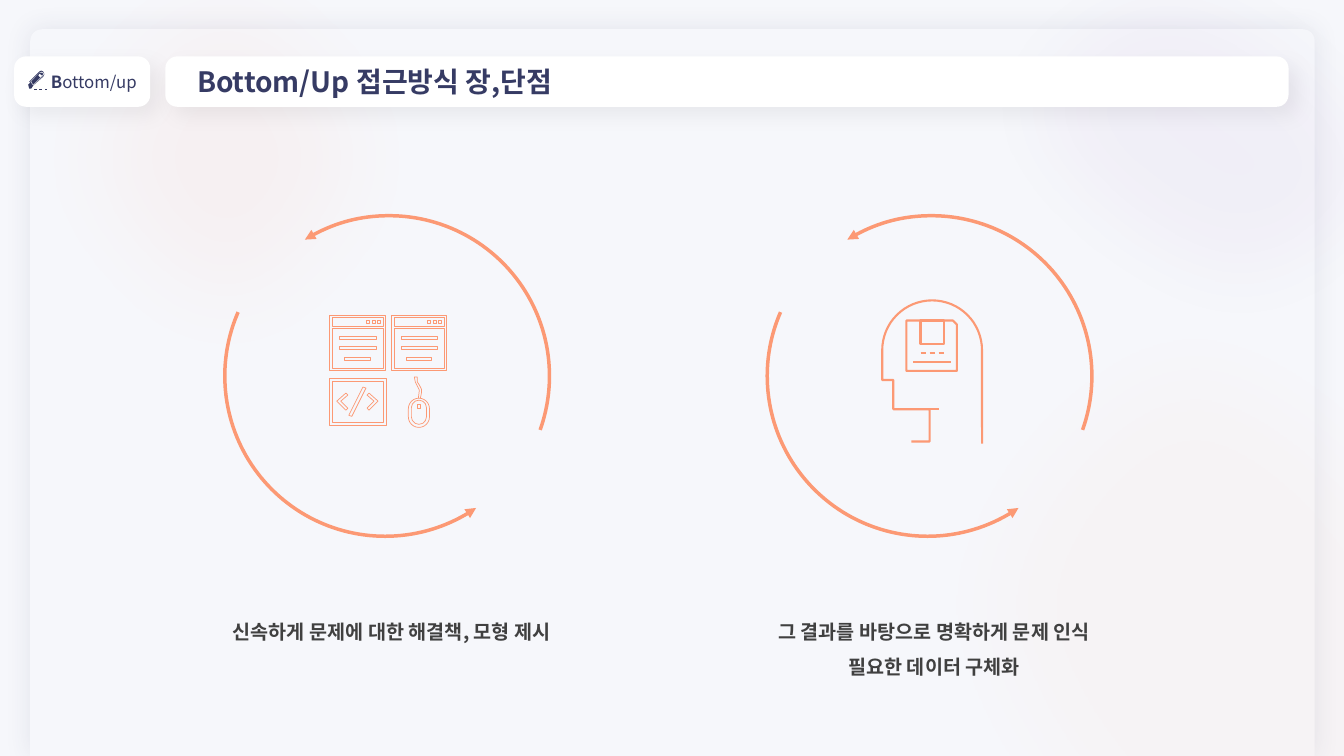
"""Build the slide on the strengths and weaknesses of the Bottom/Up approach."""
from math import cos, pi, sin

from lxml import etree
from pptx import Presentation
from pptx.dml.color import RGBColor
from pptx.enum.shapes import MSO_CONNECTOR, MSO_SHAPE
from pptx.enum.text import MSO_ANCHOR, MSO_AUTO_SIZE, PP_ALIGN
from pptx.oxml.ns import qn
from pptx.util import Inches, Pt

ARC, OVAL, RECTANGLE = MSO_SHAPE.ARC, MSO_SHAPE.OVAL, MSO_SHAPE.RECTANGLE
ROUNDED, PANEL = MSO_SHAPE.ROUNDED_RECTANGLE, MSO_SHAPE.ROUND_2_SAME_RECTANGLE
STRAIGHT = MSO_CONNECTOR.STRAIGHT
LEFT, CENTER, RIGHT = PP_ALIGN.LEFT, PP_ALIGN.CENTER, PP_ALIGN.RIGHT
MIDDLE, GROW = MSO_ANCHOR.MIDDLE, MSO_AUTO_SIZE.SHAPE_TO_FIT_TEXT

THEME = {
    "background": "F6F7FB", "card": "FFFFFF", "navy": "363B64", "black": "000000",
    "orange": "FC9974", "blush": "FD9374", "violet": "7030A0", "body": "404040",
    "font": "Noto Sans CJK KR",
    "badge": Pt(12), "title": Pt(20), "caption": Pt(14),
}

deck = Presentation()
deck.slide_width, deck.slide_height = Inches(13.33), Inches(7.5)
page = deck.slides.add_slide(deck.slide_layouts[6])
page.background.fill.solid()
page.background.fill.fore_color.rgb = RGBColor.from_string(THEME["background"])
shapes = page.shapes


def paint(shape, fill=None, line=None, width=1, alpha=None):
    """Set fill, line and transparency, and return the shape."""
    shape.shadow.inherit = False
    for part, colour in ((shape.fill, fill), (shape.line.fill, line)):
        if colour:
            part.solid()
            part.fore_color.rgb = RGBColor.from_string(THEME[colour])
        else:
            part.background()
    if line:
        shape.line.width = Pt(width)
    if alpha:
        colour = shape.element.spPr.find(qn("a:solidFill"))[0]
        etree.SubElement(colour, qn("a:alpha"), val=str(alpha * 1000))
    return shape


def outline(contours, closed=True):
    """Return a freeform made of contours given in inches."""
    contours = [[(Inches(x), Inches(y)) for x, y in points] for points in contours]
    builder = shapes.build_freeform(*contours[0][0])
    for index, points in enumerate(contours):
        if index:
            builder.move_to(*points[0])
        builder.add_line_segments(points[1:], close=closed)
    return builder.convert_to_shape()


panel = shapes.add_shape(PANEL, Inches(0.3), Inches(0.29), Inches(12.74), Inches(7.21))
panel.adjustments[0] = 0.016
paint(panel, "background")

for left, top, width, height, angle, colour, alpha in (
    (0, -0.9, 4.5, 4.91, 0, "blush", 7),
    (9.7, -1.43, 4.5, 5.63, 291.5, "violet", 4),
    (9.01, 2.69, 6.26, 7.27, 339.8, "orange", 4),
):
    glow = shapes.add_shape(OVAL, *map(Inches, (left, top, width, height)))
    glow.rotation = angle
    paint(glow, colour, alpha=alpha)
    effects = glow.element.spPr.find(qn("a:effectLst"))
    etree.SubElement(effects, qn("a:softEdge"), rad=str(Pt(63)))

badge, title = [
    shapes.add_shape(ROUNDED, Inches(left), Inches(0.56), Inches(width), Inches(0.5))
    for left, width in ((0.14, 1.35), (1.64, 11.14))
]
for card in (badge, title):
    card.adjustments[0] = 0.237
    paint(card, "card")
    card.text_frame.vertical_anchor = MIDDLE
title.text_frame.margin_left = Inches(0.28)

for shape, colour, alpha, blur, distance, angle in (
    (panel, "navy", 10, 18, 0, 0),
    (badge, "black", 5, 15, 8, 45),
    (title, "black", 5, 15, 8, 45),
):
    effects = shape.element.spPr.find(qn("a:effectLst"))
    shadow = etree.SubElement(
        effects, qn("a:outerShdw"), blurRad=str(Pt(blur)), dist=str(Pt(distance)),
        dir=str(angle * 60000), algn="ctr", rotWithShape="0")
    tint = etree.SubElement(shadow, qn("a:srgbClr"), val=THEME[colour])
    etree.SubElement(tint, qn("a:alpha"), val=str(alpha * 1000))

pencil_rim = [
    [(0.29, 0.88), (0.31, 0.88), (0.33, 0.85), (0.43, 0.76), (0.44, 0.74), (0.43, 0.71),
     (0.41, 0.7), (0.39, 0.71), (0.29, 0.81), (0.3, 0.82), (0.28, 0.84)],
    [(0.39, 0.72), (0.41, 0.71), (0.43, 0.72), (0.44, 0.73), (0.43, 0.75), (0.33, 0.85),
     (0.3, 0.81)],
]
pencil_core = [
    [(0.33, 0.84), (0.42, 0.75), (0.43, 0.73), (0.41, 0.72), (0.39, 0.72), (0.31, 0.81)],
    [(0.39, 0.73), (0.42, 0.75), (0.4, 0.77), (0.38, 0.75)],
]
pencil = [paint(outline(contours), "navy") for contours in (pencil_rim, pencil_core)]
for start, end in ((0.34, 0.37), (0.39, 0.42), (0.45, 0.47)):
    dash = shapes.add_connector(
        STRAIGHT, Inches(start), Inches(0.88), Inches(end), Inches(0.88))
    dash.line.color.rgb = RGBColor.from_string(THEME["navy"])
    dash.line.width = Pt(0.25)
    etree.SubElement(dash.element.spPr, qn("a:effectLst"))
    pencil.append(dash)
shapes.add_group_shape(pencil)

captions = []
for shift, height in ((0, 0.41), (5.38, 0.76)):
    for left, start, end in ((2.27, 142.974, 11.803), (2.23, 33.26, 122.09)):
        arc = shapes.add_shape(
            ARC, Inches(left + shift), Inches(2.14), Inches(3.18), Inches(3.18))
        arc.adjustments[0], arc.adjustments[1] = start, end
        paint(arc, line="orange", width=2.5)
        etree.SubElement(arc.line._get_or_add_ln(), qn("a:headEnd"), type="triangle")
    caption = shapes.add_textbox(
        Inches(2.01 + shift), Inches(5.98), Inches(3.75), Inches(height))
    caption.text_frame.word_wrap = True
    caption.text_frame.auto_size = GROW
    captions.append(caption)

frames = [(3.27, 3.75, 0.56, 0.47), (3.3, 3.78, 0.5, 0.41), (4.14, 4.01, 0.03, 0.04)]
for left in (3.27, 3.88):
    frames += [(left, 3.13, 0.55, 0.54), (left + 0.03, 3.15, 0.5, 0.09),
               (left + 0.03, 3.26, 0.5, 0.39), (left + 0.15, 3.55, 0.25, 0.03)]
    frames += [(left + 0.1, top, 0.36, 0.03) for top in (3.34, 3.44)]
    frames += [(left + step, 3.18, 0.03, 0.03) for step in (0.36, 0.42, 0.47)]
computer = [shapes.add_shape(RECTANGLE, *map(Inches, frame)) for frame in frames]
for mouse_body in ((4.05, 3.95, 0.21, 0.29), (4.08, 3.97, 0.15, 0.24)):
    capsule = shapes.add_shape(ROUNDED, *map(Inches, mouse_body))
    capsule.adjustments[0] = 0.5
    computer.append(capsule)
chevron = [(3.43, 3.9), (3.34, 3.98), (3.43, 4.07), (3.45, 4.05), (3.38, 3.98), (3.45, 3.92)]
mirrored = [(7.09 - x, y) for x, y in chevron]
slash = [(3.49, 4.13), (3.46, 4.12), (3.6, 3.84), (3.63, 3.85)]
cable = [(4.17, 3.95), (4.18, 3.9), (4.18, 3.86), (4.16, 3.82), (4.14, 3.79), (4.14, 3.74),
         (4.11, 3.74), (4.12, 3.79), (4.14, 3.83), (4.16, 3.87), (4.15, 3.95)]
computer += [outline([points]) for points in (chevron, mirrored, slash)]
computer.append(outline([cable], closed=False))

skull = [(9.245 + 0.495 * cos(pi * step / 32), 3.475 - 0.495 * sin(pi * step / 32))
         for step in range(33)]
profile = [(9.74, 4.4), *skull, (8.75, 3.77), (8.86, 3.77), (8.86, 4.06), (9.22, 4.06),
           (9.22, 4.38), (9.04, 4.38)]
strokes = [profile, [(9.18, 4.06), (9.31, 4.06)], [(9.06, 3.59), (9.43, 3.59)]]
strokes += [[(left, 3.5), (left + 0.05, 3.5)] for left in (9.13, 9.22, 9.31)]
disk = [(9.49, 3.68), (8.99, 3.68), (8.99, 3.18), (9.45, 3.18), (9.49, 3.22)]
shutter = [(9.13, 3.18), (9.36, 3.18), (9.36, 3.41), (9.13, 3.41)]
head = [outline([points], closed=False) for points in strokes]
head += [outline([points]) for points in (disk, shutter)]

for icon, width in ((computer, 0.5), (head, 1.5)):
    for part in icon:
        paint(part, line="orange", width=width)
    shapes.add_group_shape(icon)

for box, size, colour, align, spacing, lines in (
    (badge, "badge", "navy", RIGHT, 1, [[("B", True), ("ottom/up", False)]]),
    (title, "title", "navy", LEFT, 1, [[("Bottom/Up 접근방식 장,단점", True)]]),
    (captions[0], "caption", "body", CENTER, 1.5,
     [[("신속하게 문제에 대한 해결책, 모형 제시", True)]]),
    (captions[1], "caption", "body", CENTER, 1.5,
     [[("그 결과를 바탕으로 명확하게 문제 인식", True)], [("필요한 데이터 구체화", True)]]),
):
    for index, line in enumerate(lines):
        para = box.text_frame.add_paragraph() if index else box.text_frame.paragraphs[0]
        para.alignment, para.line_spacing = align, spacing
        for text, bold in line:
            span = para.add_run()
            span.text = text
            span_format = {"name": THEME["font"], "size": THEME[size], "bold": bold}
            for name, value in span_format.items():
                setattr(span.font, name, value)
            span.font.color.rgb = RGBColor.from_string(THEME[colour])
            properties = span._r.get_or_add_rPr()
            etree.SubElement(properties, qn("a:ea"), typeface=THEME["font"])

deck.save("out.pptx")
